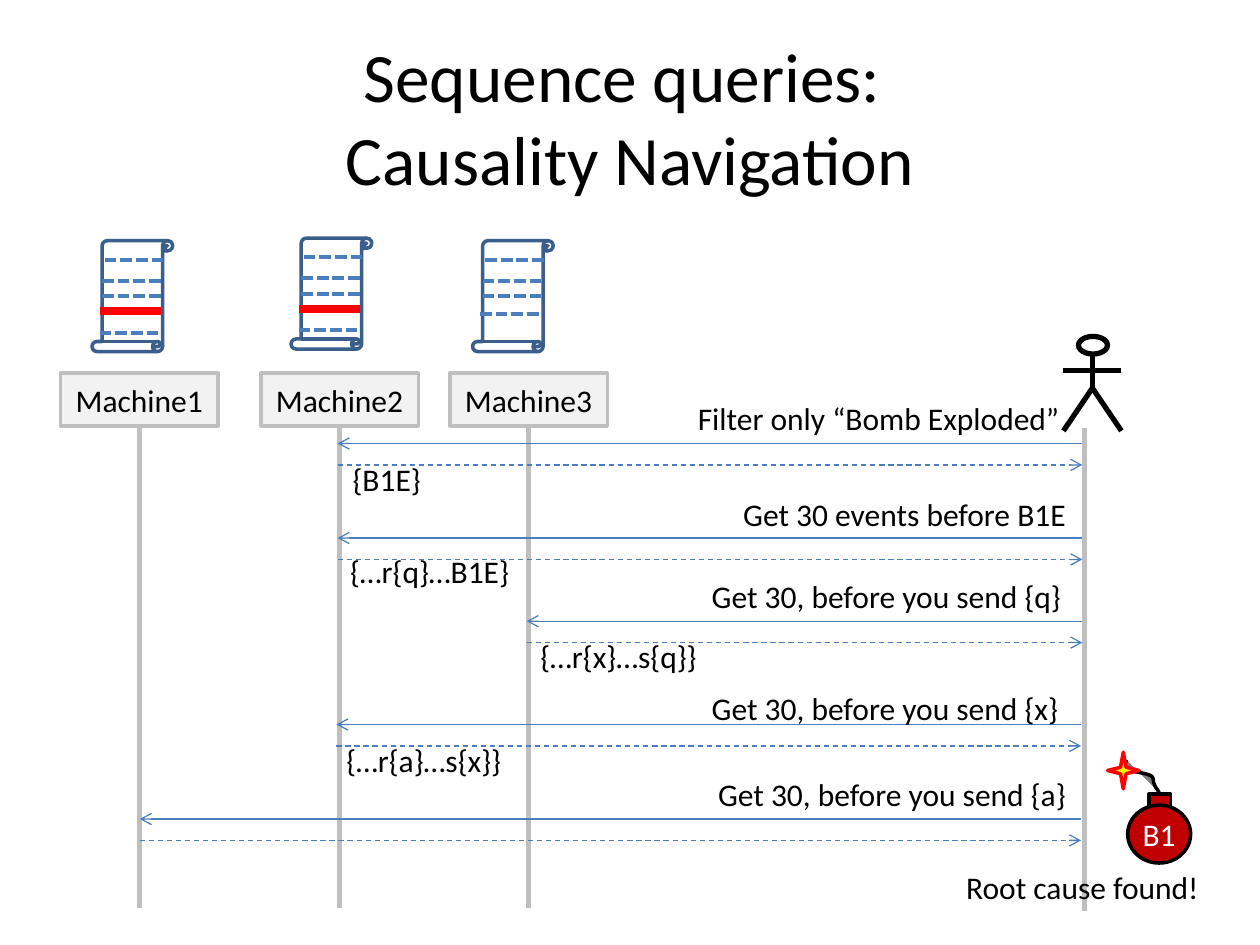
from lxml import etree
from pptx import Presentation
from pptx.dml.color import RGBColor
from pptx.enum.dml import MSO_LINE
from pptx.enum.shapes import MSO_CONNECTOR, MSO_SHAPE
from pptx.enum.text import MSO_ANCHOR, PP_ALIGN
from pptx.oxml.ns import qn
from pptx.util import Inches, Pt

RECTANGLE = MSO_SHAPE.RECTANGLE
ELLIPSE = MSO_SHAPE.OVAL
SCROLL = MSO_SHAPE.VERTICAL_SCROLL
STAR = MSO_SHAPE.STAR_4_POINT
STRAIGHT = MSO_CONNECTOR.STRAIGHT
DASH = MSO_LINE.DASH
SHORT_DASH = MSO_LINE.SQUARE_DOT
LEFT, CENTER = PP_ALIGN.LEFT, PP_ALIGN.CENTER
TOP, MIDDLE = MSO_ANCHOR.TOP, MSO_ANCHOR.MIDDLE
BOTTOM_SIDE = 2

FONT = "Calibri"
COLORS = {
    "black": "000000", "white": "FFFFFF", "box": "F2F2F2", "lifeline": "BFBFBF",
    "message": "4B7EBC", "scroll": "3A5F8C", "red": "FF0000",
    "bomb": "C00000", "fuse": "808080", "spark": "FFFF00",
}

# name, box left, scroll left, scroll top, whether an event is highlighted
MACHINES = [
    ("Machine1", 0.48, 0.73, 1.91, True),
    ("Machine2", 2.07, 2.31, 1.89, True),
    ("Machine3", 3.57, 3.75, 1.91, False),
]

# y, machine end, user end, query, (left, top, width), reply, (left, top, width)
QUERIES = [
    (3.52, 2.68, 8.59, "Filter only “Bomb Exploded”", (5.44, 3.12, 3.1),
     "{B1E}", (2.7, 3.6, 0.75)),
    (4.27, 2.68, 8.59, "Get 30 events before B1E", (5.8, 3.88, 2.79),
     "{…r{q}…B1E}", (2.68, 4.33, 1.51)),
    (4.93, 4.18, 8.59, "Get 30, before you send {q}", (5.55, 4.53, 3.01),
     "{…r{x}…s{q}}", (4.19, 5.01, 1.51)),
    (5.75, 2.67, 8.58, "Get 30, before you send {x}", (5.55, 5.42, 2.99),
     "{…r{a}…s{x}}", (2.65, 5.83, 1.51)),
    (6.5, 1.11, 8.58, "Get 30, before you send {a}", (5.6, 6.1, 2.99), None, None),
]
REPLY_GAP = 0.17


def rgb(name):
    return RGBColor.from_string(COLORS[name])


def write(frame, text, size=18, color="black", align=LEFT, anchor=TOP,
          wrap=True, inset=None):
    frame.word_wrap = wrap
    frame.vertical_anchor = anchor
    if inset is not None:
        frame.margin_left = frame.margin_right = Inches(inset)
        frame.margin_top = frame.margin_bottom = Inches(inset)
    paragraph = frame.paragraphs[0]
    paragraph.text = text
    paragraph.alignment = align
    for run in paragraph.runs:
        run.font.name = FONT
        run.font.size = Pt(size)
        run.font.color.rgb = rgb(color)


def bezier(start, control1, control2, end, steps=8):
    """Points along a cubic curve, without its start."""
    for step in range(1, steps + 1):
        t = step / steps
        weights = ((1 - t) ** 3, 3 * t * (1 - t) ** 2, 3 * t * t * (1 - t), t ** 3)
        yield tuple(sum(w * p for w, p in zip(weights, axis))
                    for axis in zip(start, control1, control2, end))


class Diagram:
    """Draws styled elements, in inches, on one slide."""

    def __init__(self, slide):
        self.shapes = slide.shapes

    def paint(self, shape, fill, line, weight):
        shape.shadow.inherit = False
        if fill:
            shape.fill.solid()
            shape.fill.fore_color.rgb = rgb(fill)
        else:
            shape.fill.background()
        shape.line.color.rgb = rgb(line)
        shape.line.width = Pt(weight)

    def shape(self, kind, left, top, width, height, fill=None, line="black", weight=2):
        shape = self.shapes.add_shape(
            kind, Inches(left), Inches(top), Inches(width), Inches(height))
        self.paint(shape, fill, line, weight)
        return shape

    def label(self, text, left, top, width, height=0.4, **text_format):
        box = self.shapes.add_textbox(
            Inches(left), Inches(top), Inches(width), Inches(height))
        write(box.text_frame, text, **text_format)

    def line(self, x1, y1, x2, y2, color="black", weight=3, dash=None, arrow=False):
        connector = self.shapes.add_connector(
            STRAIGHT, Inches(x1), Inches(y1), Inches(x2), Inches(y2))
        connector.line.color.rgb = rgb(color)
        connector.line.width = Pt(weight)
        if dash:
            connector.line.dash_style = dash
        properties = connector._element.spPr
        if arrow:
            etree.SubElement(properties.find(qn("a:ln")), qn("a:tailEnd"), type="arrow")
        etree.SubElement(properties, qn("a:effectLst"))
        return connector

    def curve(self, start, segments, **style):
        points = [start]
        for segment in segments:
            points.extend(bezier(points[-1], *segment))
        builder = self.shapes.build_freeform(
            *(Inches(v) for v in start), scale=1.0)
        builder.add_line_segments(
            [(Inches(x), Inches(y)) for x, y in points[1:]], close=False)
        self.paint(builder.convert_to_shape(), **style)

    def machine(self, name, left):
        top, width, height = 2.96, 1.25, 0.42
        box = self.shape(RECTANGLE, left, top, width, height, "box", "lifeline")
        write(box.text_frame, name, align=CENTER, anchor=MIDDLE)
        center = left + width / 2
        lifeline = self.line(center, top + height, center, 7.21, "lifeline")
        lifeline.begin_connect(box, BOTTOM_SIDE)

    def event_log(self, left, top, highlighted):
        scroll = self.shape(SCROLL, left, top, 0.64, 0.88, line="scroll")
        scroll.rotation = 180
        entries = [(0.1, 0.15), (0.08, 0.32), (0.08, 0.44)]
        entries.append((0.06, 0.73 if highlighted else 0.58))
        for dx, dy in entries:
            self.line(left + dx, top + dy, left + dx + 0.49, top + dy,
                      "message", 2.25, SHORT_DASH)
        if highlighted:
            self.line(left + 0.06, top + 0.56, left + 0.55, top + 0.56, "red", 4.5)

    def message(self, x1, x2, y, dash=None):
        self.line(x1, y, x2, y, "message", 0.75, dash, arrow=True)

    def user(self):
        self.line(8.61, 3.4, 8.61, 7.23, "lifeline")
        self.shape(ELLIPSE, 8.56, 2.67, 0.23, 0.14, weight=3)
        center, hip, left, right = 8.67, 3.08, 8.44, 8.9
        self.line(center, 2.81, center, hip)
        for foot in (left, right):
            self.line(center, hip, foot, 3.42)
        self.line(left, 2.94, right, 2.94)

    def bomb(self):
        self.shape(RECTANGLE, 9.12, 6.3, 0.17, 0.12, "bomb")
        body = self.shape(ELLIPSE, 8.95, 6.39, 0.5, 0.46, "bomb")
        write(body.text_frame, "B1", color="white", align=CENTER, anchor=MIDDLE, inset=0)
        self.curve((9.2, 6.29), [
            ((9.19, 6.27), (9.17, 6.25), (9.16, 6.22)),
            ((9.15, 6.2), (9.16, 6.18), (9.14, 6.16)),
            ((9.11, 6.14), (8.99, 6.12), (8.96, 6.12)),
            ((8.95, 6.11), (8.93, 6.09), (8.93, 6.08)),
            ((8.93, 6.06), (8.94, 6.03), (8.94, 6.03)),
        ], fill="fuse", line="black", weight=2)
        self.shape(STAR, 8.79, 5.97, 0.25, 0.29, "spark", "red")


def main():
    deck = Presentation()
    deck.slide_width, deck.slide_height = Inches(10), Inches(7.5)
    diagram = Diagram(deck.slides.add_slide(deck.slide_layouts[6]))

    diagram.label("Sequence queries: \vCausality Navigation", 0.5, 0.3, 9, 1.25,
                  size=39.6, align=CENTER, anchor=MIDDLE)
    for name, box_left, _, _, _ in MACHINES:
        diagram.machine(name, box_left)
    diagram.user()
    for _, _, log_left, log_top, highlighted in MACHINES:
        diagram.event_log(log_left, log_top, highlighted)
    for y, machine_x, user_x, query, query_at, reply, reply_at in QUERIES:
        diagram.message(user_x, machine_x, y)
        diagram.message(machine_x, user_x, y + REPLY_GAP, DASH)
        diagram.label(query, *query_at, wrap=False)
        if reply:
            diagram.label(reply, *reply_at)
    diagram.label("Root cause found!", 7.57, 6.84, 2.07, wrap=False)
    diagram.bomb()
    deck.save("out.pptx")


if __name__ == "__main__":
    main()
